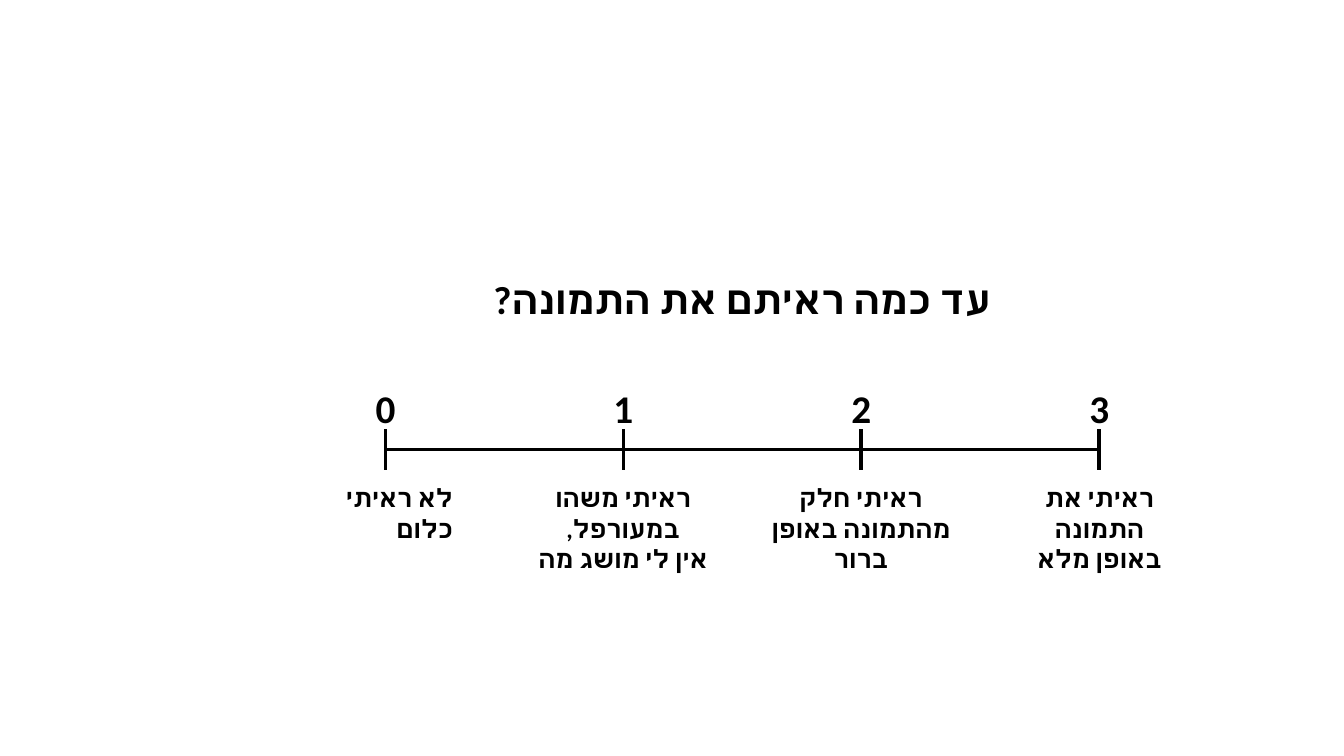
import pptx
import pptx.util
import pptx.dml.color
import pptx.enum.shapes
import pptx.enum.text
import pptx.oxml

PX = 9144  # 100 px to the inch
BLACK = pptx.dml.color.RGBColor(0, 0, 0)
FONT = "Calibri"
CENTER = pptx.enum.text.PP_ALIGN.CENTER
RIGHT = pptx.enum.text.PP_ALIGN.RIGHT

AXIS_LEFT, AXIS_Y, STEP, HALF_TICK = 382, 446, 236, 20
# label lines, left, width, height, alignment
LABELS = [
    (["לא ראיתי כלום"], 305, 154, 40, RIGHT),
    (["ראיתי משהו במעורפל,", "אין לי מושג מה"], 504, 228, 71, CENTER),
    (["ראיתי חלק", "מהתמונה באופן ברור"], 746, 216, 71, CENTER),
    (["ראיתי את התמונה", "באופן מלא"], 996, 189, 71, CENTER),
]

prs = pptx.Presentation()
prs.slide_width, prs.slide_height = 1333 * PX, 750 * PX
s = prs.slides.add_slide(prs.slide_layouts[6])


def add_text(lines, x, y, w, h, size=18, align=CENTER, spacing=None, wrap=False):
    """Add a bold right-to-left text box, one paragraph for each line."""
    tf = s.shapes.add_textbox(x * PX, y * PX, w * PX, h * PX).text_frame
    tf.word_wrap = wrap
    if not wrap:
        tf.auto_size = pptx.enum.text.MSO_AUTO_SIZE.SHAPE_TO_FIT_TEXT
    for i, line in enumerate(lines):
        p = tf.add_paragraph() if i else tf.paragraphs[0]
        p.alignment = align
        p.line_spacing = spacing
        p._p.get_or_add_pPr().set("rtl", "1")
        r = p.add_run()
        r.text = line
        r.font.name = FONT
        r.font.size = pptx.util.Pt(size)
        r.font.bold = True
        r.font.color.rgb = BLACK
        cs = pptx.oxml.parse_xml(
            '<a:cs xmlns:a="http://schemas.openxmlformats.org/drawingml/2006/main"'
            f' typeface="{FONT}"/>')
        r._r.get_or_add_rPr().append(cs)


def add_line(x1, y1, x2, y2):
    ln = s.shapes.add_connector(pptx.enum.shapes.MSO_CONNECTOR.STRAIGHT,
                                x1 * PX, y1 * PX, x2 * PX, y2 * PX)
    ln.line.color.rgb = BLACK
    ln.line.width = pptx.util.Pt(2.25)
    ln._element.spPr.append(pptx.oxml.parse_xml(
        '<a:effectLst xmlns:a="http://schemas.openxmlformats.org/drawingml/2006/main"/>'))


add_text(["עד כמה ראיתם את התמונה?"], 291, 245, 890, 293,
         size=28, spacing=1.5, wrap=True)

add_line(AXIS_LEFT, AXIS_Y, AXIS_LEFT + 3 * STEP, AXIS_Y)
for n, (lines, left, width, height, align) in enumerate(LABELS):
    x = AXIS_LEFT + n * STEP
    add_line(x, AXIS_Y + HALF_TICK, x, AXIS_Y - HALF_TICK)
    add_text([str(n)], x - 20, 376, 40, 57, size=28, align=RIGHT)
    add_text(lines, left, 474, width, height, align=align)

prs.save("out.pptx")
